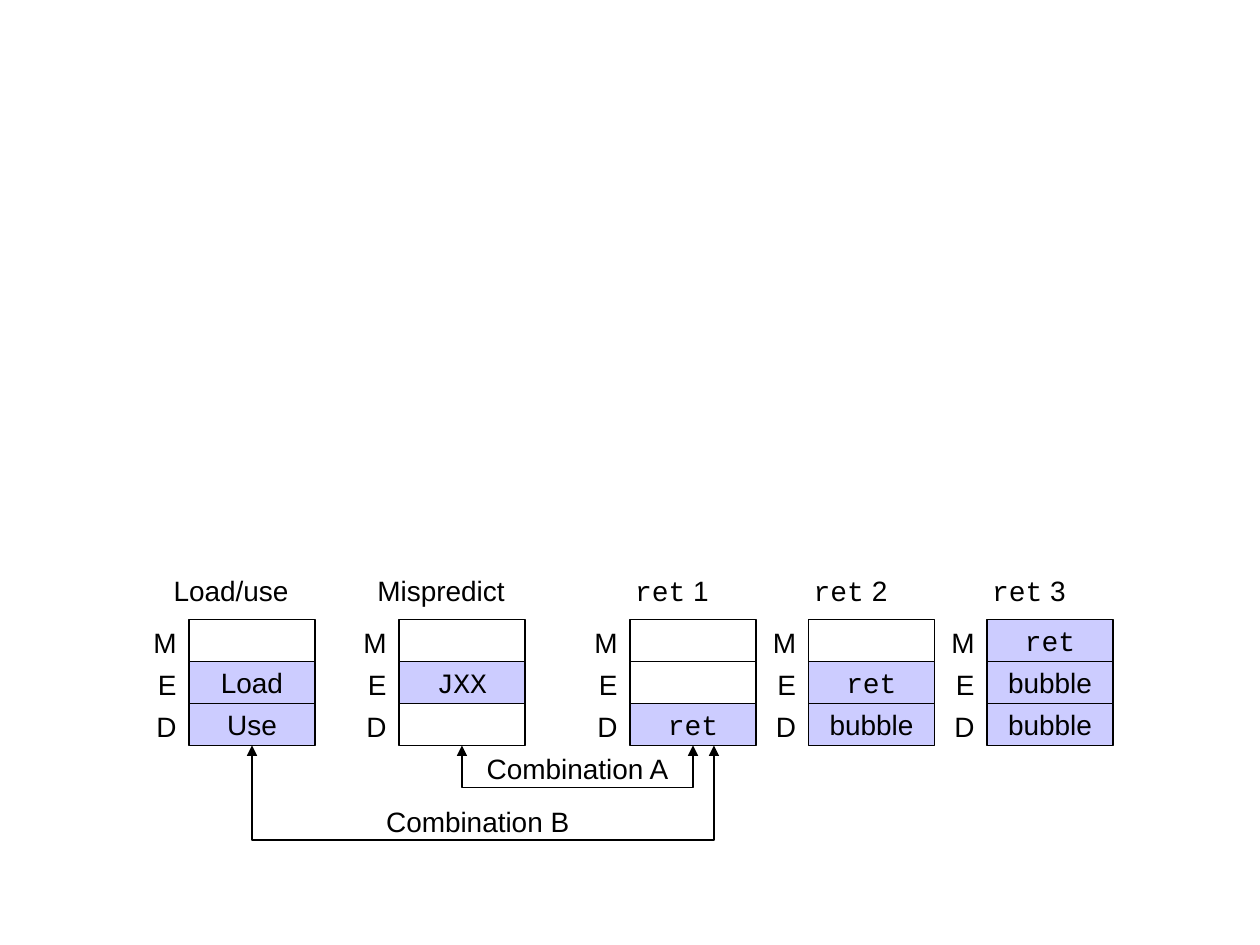
"""Build a slide of pipeline states and the control cases that can combine."""
from lxml.etree import SubElement
from pptx import Presentation
from pptx.dml.color import RGBColor as RGB
from pptx.enum.shapes import MSO_SHAPE as Shape
from pptx.enum.text import MSO_ANCHOR as Anchor, PP_ALIGN as Align
from pptx.oxml.ns import qn
from pptx.util import Pt

COLORS = {"ink": "000000", "busy": "CCCCFF", "free": "FFFFFF"}
CODE = ("ret", "JXX")
LEFT = [108, 228, 360, 462, 564]
TOP, WIDE, HIGH = 354, 72, 24
BASE = TOP + 3 * HIGH
STAGES = "MED"
CASES = [
    (["Load/use"], ["", "Load", "Use"]),
    (["Mispredict"], ["", "JXX", ""]),
    (["ret", " 1"], ["", "", "ret"]),
    (["ret", " 2"], ["", "ret", "bubble"]),
    (["ret", " 3"], ["ret", "bubble", "bubble"]),
]
LINKS = [
    ("Combination A", 264, 396, 450, (252, 426, 156)),
    ("Combination B", 144, 408, 480, (144, 456, 258)),
]


def write(shape, parts, align):
    para = shape.text_frame.paragraphs[0]
    para.alignment = align
    for part in parts:
        run = para.add_run()
        run.text = part
        run.font.name = "Courier New" if part in CODE else "Arial"
        run.font.size = Pt(16)
        run.font.color.rgb = RGB.from_string(COLORS["ink"])


def label(x, y, wide, parts, align=Align.CENTER):
    box = slide.shapes.add_textbox(Pt(x), Pt(y), Pt(wide), Pt(26.6))
    box.text_frame.word_wrap = True
    write(box, parts, align)


deck = Presentation()
deck.slide_width, deck.slide_height = Pt(720), Pt(540)
slide = deck.slides.add_slide(deck.slide_layouts[6])

for x, (title, cells) in zip(LEFT, CASES):
    label(x - 24, 324, 96, title)
    for row, (stage, word) in enumerate(zip(STAGES, cells)):
        y = TOP + row * HIGH
        cell = slide.shapes.add_shape(Shape.RECTANGLE, Pt(x), Pt(y), Pt(WIDE), Pt(HIGH))
        cell.shadow.inherit = False
        cell.fill.solid()
        cell.fill.fore_color.rgb = RGB.from_string(COLORS["busy" if word else "free"])
        cell.line.color.rgb = RGB.from_string(COLORS["ink"])
        cell.line.width = Pt(0.75)
        if word:
            cell.text_frame.word_wrap = False
            cell.text_frame.vertical_anchor = Anchor.MIDDLE
            write(cell, [word], Align.CENTER)
        label(x - 36, y, 36, [stage], Align.RIGHT)

for name, start, end, low, spot in LINKS:
    pen = slide.shapes.build_freeform(Pt(start), Pt(BASE))
    pen.add_line_segments(
        [(Pt(start), Pt(low)), (Pt(end), Pt(low)), (Pt(end), Pt(BASE))], close=False
    )
    link = pen.convert_to_shape()
    link.shadow.inherit = False
    link.fill.background()
    link.line.color.rgb = RGB.from_string(COLORS["ink"])
    link.line.width = Pt(0.75)
    for tip in ("a:headEnd", "a:tailEnd"):
        SubElement(link.line._get_or_add_ln(), qn(tip), type="triangle")
    label(*spot, [name])

deck.save("out.pptx")
